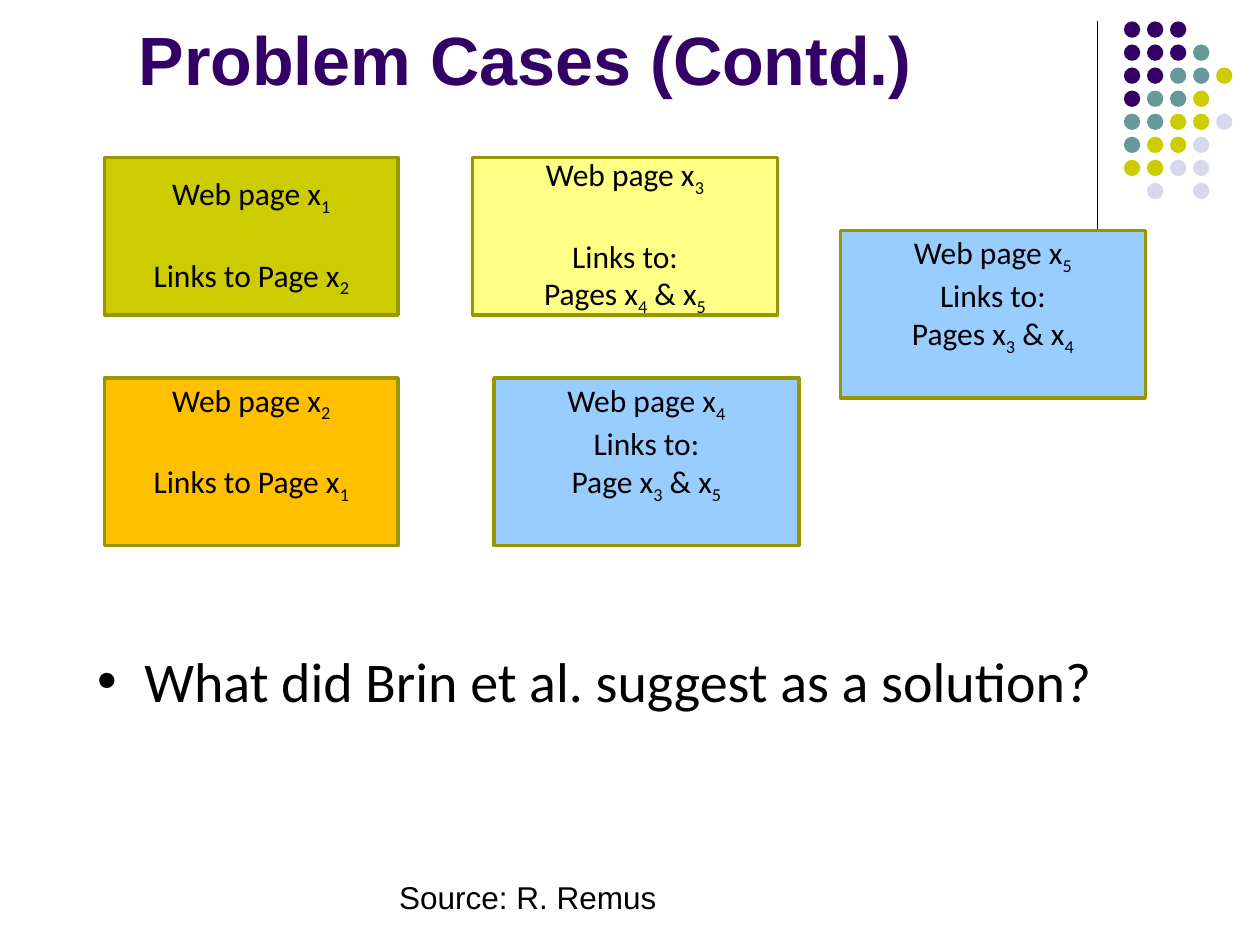
from pptx import Presentation
from pptx.dml.color import RGBColor
from pptx.enum.shapes import MSO_CONNECTOR, MSO_SHAPE
from pptx.enum.text import MSO_ANCHOR, MSO_AUTO_SIZE, PP_ALIGN
from pptx.oxml.ns import qn
from pptx.util import Inches, Pt
from lxml.etree import SubElement


def rgb(color):
    return RGBColor.from_string(color)


def style(r, font, size, color="000000", bold=False):
    r.font.name = font
    r.font.size = Pt(size)
    r.font.color.rgb = rgb(color)
    r.font.bold = bold


prs = Presentation()
prs.slide_width, prs.slide_height = Inches(10), Inches(7.5)
s = prs.slides.add_slide(prs.slide_layouts[1])

# Title and question
title, body = s.placeholders
for sp, text, box, anchor, font in [
    (title, "Problem Cases (Contd.)", (1, -0.58, 8.25, 1.42),
     MSO_ANCHOR.BOTTOM, ("Arial", 39, "330066", True)),
    (body, "What did Brin et al. suggest as a solution?", (0.67, 5.08, 8.19, 1.04),
     MSO_ANCHOR.TOP, ("Calibri", 32)),
]:
    sp.left, sp.top, sp.width, sp.height = [Inches(v) for v in box]
    tf = sp.text_frame
    tf.text = text
    tf.auto_size = MSO_AUTO_SIZE.NONE
    tf.vertical_anchor = anchor
    p = tf.paragraphs[0]
    p.alignment = PP_ALIGN.LEFT
    p.space_before = Pt(0)
    style(p.runs[0], *font)

# Vertical rule
rule = s.shapes.add_connector(MSO_CONNECTOR.STRAIGHT, Inches(8.71), Inches(0.17),
                              Inches(8.71), Inches(1.83))
rule.line.color.rgb = rgb("000000")
rule.line.width = Pt(0.75)
SubElement(rule._element.spPr, qn("a:effectLst"))

# Corner dots: one letter per colour, a space where there is no dot
dot_colors = {"P": "330066", "T": "669999", "Y": "CCCC00", "L": "D8D8EC"}
dot_rows = ["PPP", "PPPT", "PPTTY", "PTTY", "TTYYL", "TYYL", "YYLL", " L L"]
pitch = 0.183
dots = s.shapes.add_group_shape()
for row, letters in enumerate(dot_rows):
    for col, letter in enumerate(letters):
        if letter == " ":
            continue
        dot = dots.shapes.add_shape(MSO_SHAPE.OVAL, Inches(8.92 + col * pitch),
                                    Inches(0.17 + row * pitch), Inches(0.13), Inches(0.13))
        dot.shadow.inherit = False
        dot.fill.solid()
        dot.fill.fore_color.rgb = rgb(dot_colors[letter])
        dot.line.fill.background()

# Web pages: position, fill, gap after heading, extra bottom inset, lines
# An underscore makes the next character a subscript
pages = [
    ((0.83, 1.25, 2.33, 1.25), "CCCC00", 22, 0, ["Web page x_1", "Links to Page x_2"]),
    ((3.92, 3, 2.42, 1.33), "99CCFF", 0, 0.3, ["Web page x_4", "Links to:", "Page x_3 & x_5"]),
    ((0.83, 3, 2.33, 1.33), "FFC000", 22, 0.3, ["Web page x_2", "Links to Page x_1"]),
    ((3.75, 1.25, 2.42, 1.25), "FFFF85", 22, 0, ["Web page x_3", "Links to:", "Pages x_4 & x_5"]),
    ((6.67, 1.83, 2.42, 1.33), "99CCFF", 0, 0.3, ["Web page x_5", "Links to:", "Pages x_3 & x_4"]),
]
for box, fill, gap, inset, lines in pages:
    sp = s.shapes.add_shape(MSO_SHAPE.RECTANGLE, *[Inches(v) for v in box])
    sp.shadow.inherit = False
    sp.fill.solid()
    sp.fill.fore_color.rgb = rgb(fill)
    sp.line.color.rgb = rgb("979700")
    sp.line.width = Pt(2)
    tf = sp.text_frame
    tf.vertical_anchor = MSO_ANCHOR.MIDDLE
    tf.margin_bottom = Inches(0.05 + inset)
    for i, line in enumerate(lines):
        p = tf.paragraphs[0] if i == 0 else tf.add_paragraph()
        p.alignment = PP_ALIGN.CENTER
        p.space_before = Pt(gap if i == 1 else 0)
        first, *rest = line.split("_")
        parts = [(first, False)]
        for part in rest:
            parts += [(part[0], True), (part[1:], False)]
        for text, is_sub in parts:
            if text:
                r = p.add_run()
                r.text = text
                style(r, "Calibri", 18)
                if is_sub:
                    r.font._element.set("baseline", "-25000")

# Source
tb = s.shapes.add_textbox(Inches(3.07), Inches(6.92), Inches(2.26), Inches(0.4))
tb.text_frame.text = "Source: R. Remus"
style(tb.text_frame.paragraphs[0].runs[0], "Arial", 18)

prs.save("out.pptx")
